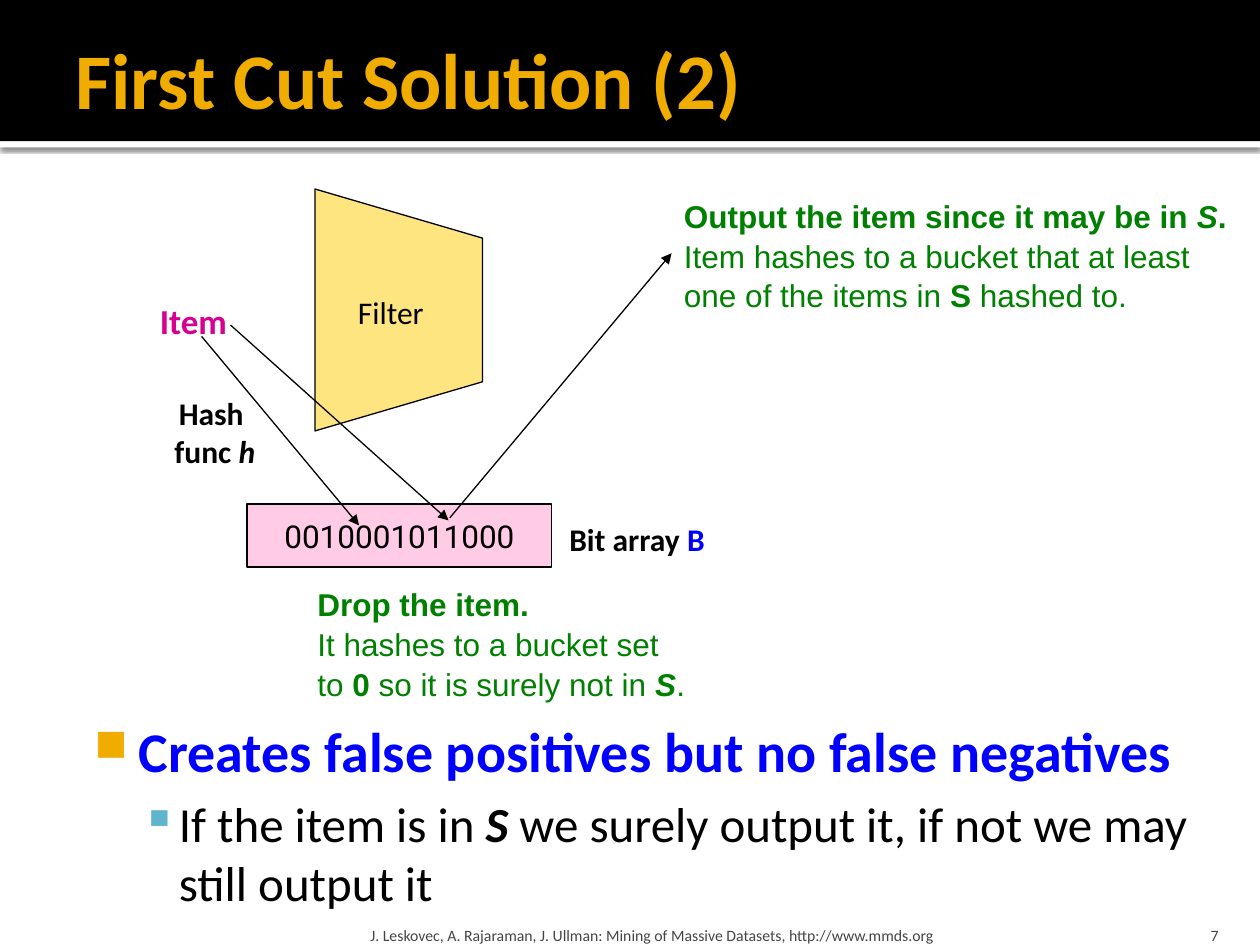
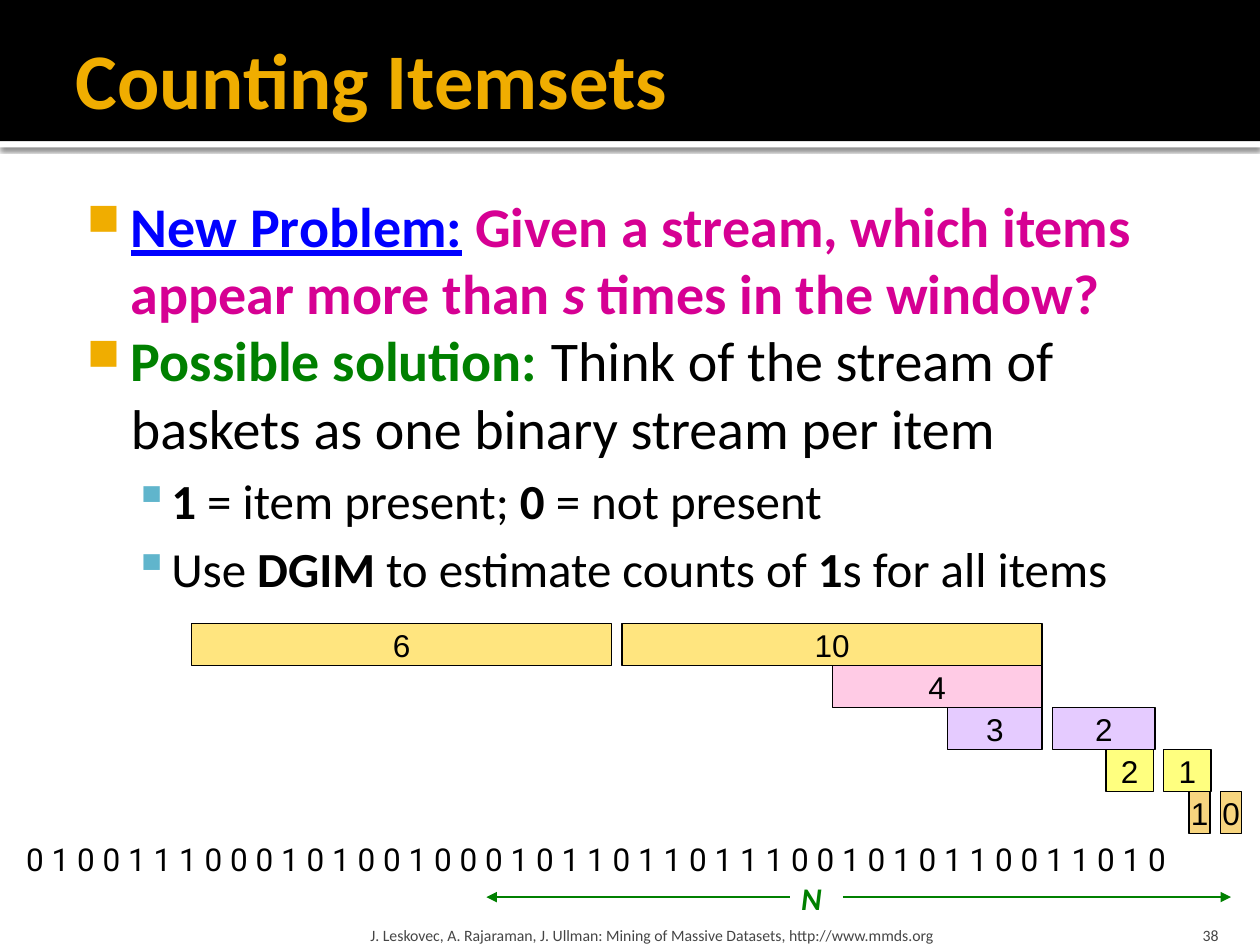
import lxml.etree
import pptx
import pptx.dml.color
import pptx.enum.shapes
import pptx.enum.text
import pptx.oxml.ns
import pptx.util

Pt = pptx.util.Pt
qn = pptx.oxml.ns.qn
ALIGN = pptx.enum.text.PP_ALIGN
ANCHOR = pptx.enum.text.MSO_ANCHOR
RECTANGLE = pptx.enum.shapes.MSO_SHAPE.RECTANGLE
STRAIGHT = pptx.enum.shapes.MSO_CONNECTOR.STRAIGHT

BLACK, WHITE, GRAY = "000000", "FFFFFF", "454545"
AMBER, TEAL, BLUE = "F0AD00", "60B5CC", "0000FF"
MAGENTA, GREEN = "D60093", "008000"
GOLD, PINK, LILAC, YELLOW = "FFCC00", "FF99CC", "CC99FF", "FFFF00"
INSETS = (7.2, 3.6, 7.2, 3.6)
CREDIT = ("J. Leskovec, A. Rajaraman, J. Ullman: Mining of Massive Datasets, "
          "http://www.mmds.org")
BULLETS = [
    dict(size=32, char="■", color=AMBER, left=34.5, hang=25.2, before=0),
    dict(size=28, char="▪", color=TEAL, left=57.6, hang=21.6, before=5.6),
]


def rgb(code):
    """Turn a hex string into a colour."""
    return pptx.dml.color.RGBColor.from_string(code)


def points(*lengths):
    """Convert several lengths from points."""
    return [Pt(length) for length in lengths]


def add_xml(parent, tag, **attributes):
    """Append a DrawingML child element."""
    return lxml.etree.SubElement(parent, qn(tag), attributes)


def add_runs(paragraph, runs, size, font, color):
    """Write (text, style letters, colour) runs, breaking lines at newlines."""
    for text, style, tint in runs:
        for index, part in enumerate(text.split("\n")):
            if index:
                paragraph.add_line_break()
            run = paragraph.add_run()
            run.text = part
            run.font.size = Pt(size)
            run.font.name = font
            run.font.bold = "b" in style
            run.font.italic = "i" in style
            run.font.underline = "u" in style
            run.font.color.rgb = rgb(tint or color)


def format_frame(frame, insets=INSETS, anchor=ANCHOR.TOP, wrap=False):
    """Set the margins, anchor and wrapping of a text frame."""
    frame.auto_size = pptx.enum.text.MSO_AUTO_SIZE.NONE
    frame.word_wrap = wrap
    frame.vertical_anchor = anchor
    (frame.margin_left, frame.margin_top,
     frame.margin_right, frame.margin_bottom) = points(*insets)


def add_label(slide, box, lines, size=18, font="Calibri", color=BLACK,
              align=ALIGN.LEFT, spacing=1.0, **frame_format):
    """Add a text box with one list of runs per paragraph."""
    frame = slide.shapes.add_textbox(*points(*box)).text_frame
    format_frame(frame, **frame_format)
    for index, runs in enumerate(lines):
        paragraph = frame.add_paragraph() if index else frame.paragraphs[0]
        paragraph.alignment = align
        paragraph.line_spacing = spacing
        add_runs(paragraph, runs, size, font, color)


def add_bullets(slide, box, items):
    """Add a bulleted list of (level, runs) items."""
    frame = slide.shapes.add_textbox(*points(*box)).text_frame
    format_frame(frame, (4.32, 7.2, 7.2, 3.6), wrap=True)
    for index, (level, runs) in enumerate(items):
        bullet = BULLETS[level]
        paragraph = frame.add_paragraph() if index else frame.paragraphs[0]
        paragraph.level = level
        paragraph.space_before = Pt(bullet["before"])
        add_runs(paragraph, runs, bullet["size"], "Calibri", BLACK)
        properties = paragraph.runs[0].font and paragraph.element_properties \
            if hasattr(paragraph, "element_properties") \
            else frame.paragraphs[index]._p.get_or_add_pPr()
        properties.set("marL", str(Pt(bullet["left"])))
        properties.set("indent", str(-Pt(bullet["hang"])))
        bullet_color = add_xml(properties, "a:buClr")
        add_xml(bullet_color, "a:srgbClr", val=bullet["color"])
        add_xml(properties, "a:buSzPct", val="80000" if level == 0 else "100000")
        add_xml(properties, "a:buChar", char=bullet["char"])


def tint_shape(shape, fill):
    """Give a shape a half-transparent fill and a thin black outline."""
    shape.shadow.inherit = False
    shape.fill.solid()
    shape.fill.fore_color.rgb = rgb(fill)
    fill_color = shape.element.spPr.find(qn("a:solidFill")).find(qn("a:srgbClr"))
    add_xml(fill_color, "a:alpha", val="50000")
    shape.line.color.rgb = rgb(BLACK)
    shape.line.width = Pt(0.75)


def caption_shape(shape, text, font, insets=(0, 0, 0, 0)):
    """Centre a caption inside a shape."""
    format_frame(shape.text_frame, insets, ANCHOR.MIDDLE)
    paragraph = shape.text_frame.paragraphs[0]
    paragraph.alignment = ALIGN.CENTER
    add_runs(paragraph, [(text, "", None)], 18, font, BLACK)


def add_cell(slide, box, text, fill, font="Arial"):
    """Add a captioned rectangle."""
    cell = slide.shapes.add_shape(RECTANGLE, *points(*box))
    tint_shape(cell, fill)
    caption_shape(cell, text, font)


def add_arrow(slide, start, end, color=BLACK):
    """Add a thin straight arrow."""
    arrow = slide.shapes.add_connector(STRAIGHT, *points(*start, *end))
    arrow.line.color.rgb = rgb(color)
    arrow.line.width = Pt(0.75)
    properties = arrow.element.spPr
    add_xml(properties.find(qn("a:ln")), "a:tailEnd", type="triangle")
    add_xml(properties, "a:effectLst")


def add_band(slide, top, height, fill):
    """Add a full-width band behind the title."""
    band = slide.shapes.add_shape(RECTANGLE, *points(0, top, 720, height))
    band.shadow.inherit = False
    band.fill.solid()
    band.fill.fore_color.rgb = rgb(fill)
    band.line.fill.background()
    slide.shapes.title.element.addprevious(band.element)
    return band


def start_slide(deck, heading, number):
    """Add a slide with its bands, title and footers."""
    slide = deck.slides.add_slide(deck.slide_layouts[5])
    strip = add_band(slide, 80.64, 3.6, WHITE)
    effects = strip.element.spPr.find(qn("a:effectLst"))
    shadow = add_xml(effects, "a:outerShdw", blurRad=str(Pt(2.5)),
                     dist=str(Pt(0.8)), dir="5400000", rotWithShape="0")
    shadow_color = add_xml(shadow, "a:srgbClr", val=BLACK)
    add_xml(shadow_color, "a:alpha", val="60000")
    add_band(slide, 0, 80.64, BLACK)

    title = slide.shapes.title
    title.left, title.top, title.width, title.height = points(36, 5.76, 648, 77.76)
    format_frame(title.text_frame, (7.2, 3.6, 3.6, 3.6), ANCHOR.MIDDLE, True)
    paragraph = title.text_frame.paragraphs[0]
    paragraph.alignment = ALIGN.LEFT
    add_runs(paragraph, [(heading, "b", None)], 45, "Calibri", AMBER)

    footer = dict(size=9, color=GRAY, anchor=ANCHOR.BOTTOM, wrap=True)
    add_label(slide, (645.84, 518.4, 57.6, 21.6), [[(number, "", None)]],
              align=ALIGN.RIGHT, insets=(7.2, 3.6, 7.2, 0), **footer)
    add_label(slide, (208.08, 518.4, 433.44, 21.6), [[(CREDIT, "", None)]],
              insets=(3.6, 3.6, 3.6, 0), **footer)
    return slide


def add_filter(slide):
    """Draw the tapering filter."""
    corners = [(180, 108), (275.76, 136.08), (275.76, 218.16), (180, 246.24)]
    first, *rest = [points(*corner) for corner in corners]
    outline = slide.shapes.build_freeform(*first)
    outline.add_line_segments(rest, close=True)
    funnel = outline.convert_to_shape()
    tint_shape(funnel, GOLD)
    caption_shape(funnel, "Filter", "Calibri", (0, 2, 9, 0))


def build_filter_slide(deck):
    """Build the slide on filtering a stream with a bit array."""
    slide = start_slide(deck, "First Cut Solution (2)", "7")
    add_bullets(slide, (40.32, 402.48, 659.52, 125.28), [
        (0, [("Creates false positives but no false negatives", "b", BLUE)]),
        (1, [("If the item is in ", "", None), ("S", "bi", None),
             (" we surely output it, if not we may still output it", "", None)]),
    ])
    add_filter(slide)
    add_label(slide, (84.24, 167.76, 55.44, 31.68), [[("Item", "b", MAGENTA)]],
              size=20)
    add_cell(slide, (141.12, 288, 174.24, 36), "0010001011000", PINK, "Roboto")
    add_arrow(slide, (131.76, 185.76), (256.32, 297.36))
    add_arrow(slide, (257.04, 295.92), (383.76, 144.72))
    add_arrow(slide, (115.2, 192.24), (205.2, 300.24))
    outcome = dict(font="Arial", color=GREEN, spacing=1.05)
    add_label(slide, (383.76, 108, 327.6, 72.72), [
        [("Output the item since it may be in ", "b", None),
         ("S", "bi", None), (".", "b", None)],
        [("Item hashes to a bucket that at least \none of the items in ", "", None),
         ("S", "b", None), (" hashed to.", "", None)],
    ], **outcome)
    add_label(slide, (174.24, 329.76, 226.8, 72.72), [
        [("Drop the item.", "b", None)],
        [("It hashes to a bucket set \nto ", "", None), ("0", "b", None),
         (" so it is surely not in ", "", None), ("S", "bi", None),
         (".", "", None)],
    ], **outcome)
    add_label(slide, (89.28, 221.76, 66.96, 51.12),
              [[("Hash \nfunc ", "b", None), ("h", "bi", None)]],
              align=ALIGN.CENTER, wrap=True)
    add_label(slide, (318.24, 293.76, 97.2, 28.8),
              [[("Bit array ", "b", None), ("B", "b", BLUE)]])


def add_buckets(slide):
    """Stack the bucket rows, each laid leftward from its right edge."""
    height, gap = 24, 6
    rows = [
        (595.5, GOLD, [("10", 240), ("6", 240)]),
        (595.5, PINK, [("4", 120)]),
        (660, LILAC, [("2", 58.5), ("3", 54)]),
        (692, YELLOW, [("1", 27), ("2", 27)]),
        (709.5, AMBER, [("0", 12), ("1", 12)]),
    ]
    for row, (right, fill, buckets) in enumerate(rows):
        for count, width in buckets:
            box = (right - width, 356.4 + row * height, width, height)
            add_cell(slide, box, count, fill)
            right -= width + gap


def build_itemsets_slide(deck):
    """Build the slide on counting itemsets in a window."""
    slide = start_slide(deck, "Counting Itemsets", "38")
    add_bullets(slide, (36, 102.24, 648, 414), [
        (0, [("New Problem:", "bu", BLUE), (" ", "b", BLUE),
             ("Given a stream, which items appear more than ", "b", MAGENTA),
             ("s", "bi", MAGENTA), (" times in the window?", "b", MAGENTA)]),
        (0, [("Possible solution: ", "b", GREEN),
             ("Think of the stream of baskets as one binary stream per item",
              "", None)]),
        (1, [("1", "b", None), (" = item present; ", "", None),
             ("0 ", "b", None), ("= not present", "", None)]),
        (1, [("Use ", "", None), ("DGIM", "b", None),
             (" to estimate counts of ", "", None), ("1", "b", None),
             ("s for all items", "", None)]),
    ])
    stream = " ".join("010011100010100100010110110111001010110011010")
    add_label(slide, (7.92, 476.64, 706.32, 28.8), [[(stream, "", None)]],
              font="Roboto")
    add_label(slide, (450.72, 498.96, 27.36, 28.8), [[("N", "bi", GREEN)]])
    for start, end in [(451.44, 277.92), (481.68, 703.44)]:
        add_arrow(slide, (start, 512.64), (end, 512.64), GREEN)
    add_buckets(slide)


def main():
    """Build and save the deck."""
    deck = pptx.Presentation()
    deck.slide_width, deck.slide_height = points(720, 540)
    build_filter_slide(deck)
    build_itemsets_slide(deck)
    deck.save("out.pptx")


if __name__ == "__main__":
    main()
